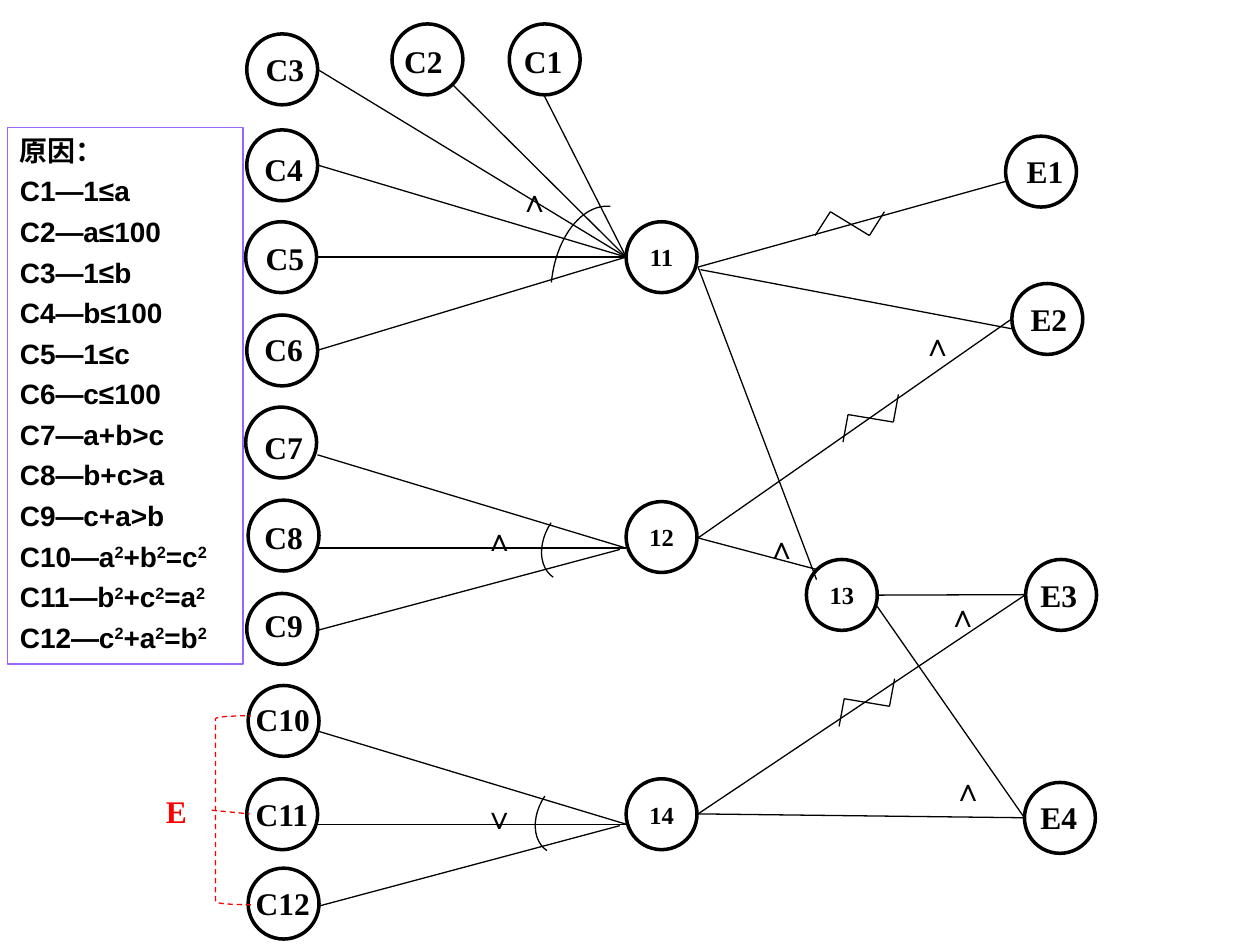
from itertools import pairwise

from lxml import etree
from pptx import Presentation
from pptx import util as u
from pptx.dml.color import RGBColor
from pptx.enum import dml, shapes, text
from pptx.oxml.ns import qn

BLACK = RGBColor(0x00, 0x00, 0x00)
RED = RGBColor(0xFF, 0x00, 0x00)
PURPLE = RGBColor(0x99, 0x66, 0xFF)
SERIF, SANS = "Times New Roman", "Arial"
DIAMETER = 40.5

CAUSES = [
    ("C1", 291, 13.7, 292.3, 20.2), ("C2", 224, 13.7, 223.9, 20.2),
    ("C3", 141, 19.4, 144.7, 25.2), ("C4", 141, 74.2, 144, 82.1),
    ("C5", 140.4, 126.7, 144.7, 133.2), ("C6", 141, 180, 144, 185),
    ("C7", 140.4, 232.6, 144, 241.2), ("C8", 141.8, 285.8, 144, 292.3),
    ("C9", 141, 339.1, 144, 342.7), ("C10", 141.8, 391.7, 139, 396.7),
    ("C11", 141, 445, 139, 450.7), ("C12", 141.8, 496.1, 139, 501.8),
]
EFFECTS = [
    ("E1", 574.6, 77.8, 579.6, 83.5), ("E2", 578.2, 162, 581.8, 167.8),
    ("E3", 586.1, 319.7, 587.5, 325.4), ("E4", 585.4, 447.1, 587.5, 452.2),
]
INTERMEDIATES = [("11", 357.8, 126.7), ("12", 357.8, 286.6),
                 ("13", 460.8, 319.7), ("14", 357.8, 445)]
GATES = [
    ("∧", 289.4, 100.1), ("∧", 269.3, 293.8), ("∧", 519.8, 182.2),
    ("∧", 430.6, 298.1), ("∨", 269.3, 452.2), ("∧", 534.2, 337),
    ("∧", 537.1, 436.3),
]
NODE_11_IN = (357.8, 146.9)
NODE_11_SOURCES = [(181.4, 39.6), (258.5, 48.2), (311, 54.7),
                   (181.4, 94.3), (180.7, 146.9), (181.4, 200.2)]
FAN = [((181.4, 259.9), (357.8, 313.2)), ((180.7, 313.2), (357.8, 313.2)),
       ((181.4, 360.2), (354.2, 314))]
FAN_STEP = 157.8
NODE_11_OUT, NODE_12_OUT, NODE_14_OUT = (398.9, 152.6), (398.9, 307.4), (398.9, 465.1)
E3_IN = (586.1, 339.8)
LINKS = [
    (NODE_11_OUT, (574.6, 103.7)), ((400.3, 154.1), (578.2, 187.9)),
    (NODE_11_OUT, (466.6, 331.2)), (NODE_12_OUT, (578.2, 182.2)),
    (NODE_12_OUT, (466.6, 325.4)), ((501.8, 340.1), E3_IN),
    ((501.1, 346.3), (585.4, 467.3)), (NODE_14_OUT, E3_IN),
    (NODE_14_OUT, (585.4, 467.3)),
]
STEEP_NEGATION = [(481.7, 252.7), (484.6, 236.9), (510.5, 241.2), (513.4, 225.4)]
NEGATIONS = [
    [(465.8, 134.6), (474.5, 121), (496.8, 134.6), (505.4, 121)],
    STEEP_NEGATION,
    [(x - 2.2, y + 162.4) for x, y in STEEP_NEGATION],
]
ARCS = [(298, 134.6, 92.9, 59, 275.3), (311.8, 283.7, 36.7, 50.4, 213.8),
        (308.2, 439.9, 36.7, 50.4, 213.8)]
CAUSE_LIST = [
    "原因：", "C1—1≤a", "C2—a≤100", "C3—1≤b", "C4—b≤100", "C5—1≤c",
    "C6—c≤100", "C7—a+b>c", "C8—b+c>a", "C9—c+a>b",
    "C10—a^+b^=c^", "C11—b^+c^=a^", "C12—c^+a^=b^",
]


class Diagram:
    thin, thick = 0.75, 2

    def __init__(self, slide):
        self.slide = slide

    def style_font(self, paragraph, size, name, color):
        font = paragraph.font
        font.size, font.name, font.bold = u.Pt(size), name, True
        font.color.rgb = color

    def style_line(self, line, color, width, dashed=False):
        line.color.rgb = color
        line.width = u.Pt(width)
        if dashed:
            line.dash_style = dml.MSO_LINE.DASH

    def outline(self, kind, left, top, width, height, color=BLACK,
                weight=thin, dashed=False, rotation=0):
        shape = self.slide.shapes.add_shape(
            kind, u.Pt(left), u.Pt(top), u.Pt(width), u.Pt(height))
        shape.shadow.inherit = False
        shape.fill.background()
        shape.rotation = rotation
        self.style_line(shape.line, color, weight, dashed)
        return shape

    def circle(self, left, top, caption=""):
        shape = self.outline(shapes.MSO_SHAPE.OVAL, left, top, DIAMETER, DIAMETER,
                             weight=self.thick)
        if caption:
            frame = shape.text_frame
            frame.word_wrap = False
            frame.vertical_anchor = text.MSO_ANCHOR.MIDDLE
            paragraph = frame.paragraphs[0]
            paragraph.text = caption
            paragraph.alignment = text.PP_ALIGN.CENTER
            self.style_font(paragraph, 14, SERIF, BLACK)

    def label(self, caption, left, top, width=50.4, color=BLACK):
        box = self.slide.shapes.add_textbox(
            u.Pt(left), u.Pt(top), u.Pt(width), u.Pt(28.8))
        box.text_frame.word_wrap = True
        paragraph = box.text_frame.paragraphs[0]
        paragraph.text = caption
        self.style_font(paragraph, 18, SERIF, color)

    def line(self, start, end, color=BLACK, dashed=False):
        connector = self.slide.shapes.add_connector(
            shapes.MSO_CONNECTOR.STRAIGHT, *(u.Pt(value) for value in (*start, *end)))
        self.style_line(connector.line, color, self.thin, dashed)
        etree.SubElement(connector._element.spPr, qn("a:effectLst"))

    def cause_box(self, rows, left, top, width, height):
        shape = self.outline(shapes.MSO_SHAPE.RECTANGLE, left, top, width, height, PURPLE)
        frame = shape.text_frame
        frame.word_wrap = True
        frame.vertical_anchor = text.MSO_ANCHOR.TOP
        for index, row in enumerate(rows):
            paragraph = frame.add_paragraph() if index else frame.paragraphs[0]
            paragraph.alignment = text.PP_ALIGN.LEFT
            paragraph.space_before = u.Pt(4)
            self.style_font(paragraph, 16, SANS, BLACK)
            properties = paragraph._p.get_or_add_pPr()
            properties.set("marL", str(u.Pt(48)))
            properties.set("indent", str(-u.Pt(48)))
            *squared, rest = row.split("^")
            for part in squared:
                paragraph.add_run().text = part
                exponent = paragraph.add_run()
                exponent.text = "2"
                exponent._r.get_or_add_rPr().set("baseline", "30000")
            if rest:
                paragraph.add_run().text = rest


def main():
    presentation = Presentation()
    presentation.slide_width, presentation.slide_height = u.Pt(720), u.Pt(540)
    diagram = Diagram(presentation.slides.add_slide(presentation.slide_layouts[6]))

    for caption, left, top, label_left, label_top in CAUSES + EFFECTS:
        diagram.circle(left, top)
        diagram.label(caption, label_left, label_top)
    for caption, left, top in INTERMEDIATES:
        diagram.circle(left, top, caption)

    for source in NODE_11_SOURCES:
        diagram.line(source, NODE_11_IN)
    for shift in (0, FAN_STEP):
        for (x1, y1), (x2, y2) in FAN:
            diagram.line((x1, y1 + shift), (x2, y2 + shift))
    for start, end in LINKS:
        diagram.line(start, end)
    for points in NEGATIONS:
        for start, end in pairwise(points):
            diagram.line(start, end)

    for left, top, width, height, rotation in ARCS:
        diagram.outline(shapes.MSO_SHAPE.ARC, left, top, width, height, rotation=rotation)
    for symbol, left, top in GATES:
        diagram.label(symbol, left, top, 30)

    diagram.outline(shapes.MSO_SHAPE.LEFT_BRACKET, 123.1, 409, 20.2, 108, RED, dashed=True)
    diagram.line((121, 463), (142.6, 465.1), RED, dashed=True)
    diagram.label("E", 87.8, 449.3, 30, RED)
    diagram.cause_box(CAUSE_LIST, 4.3, 72.7, 134.6, 306.7)

    presentation.save("out.pptx")


if __name__ == "__main__":
    main()
